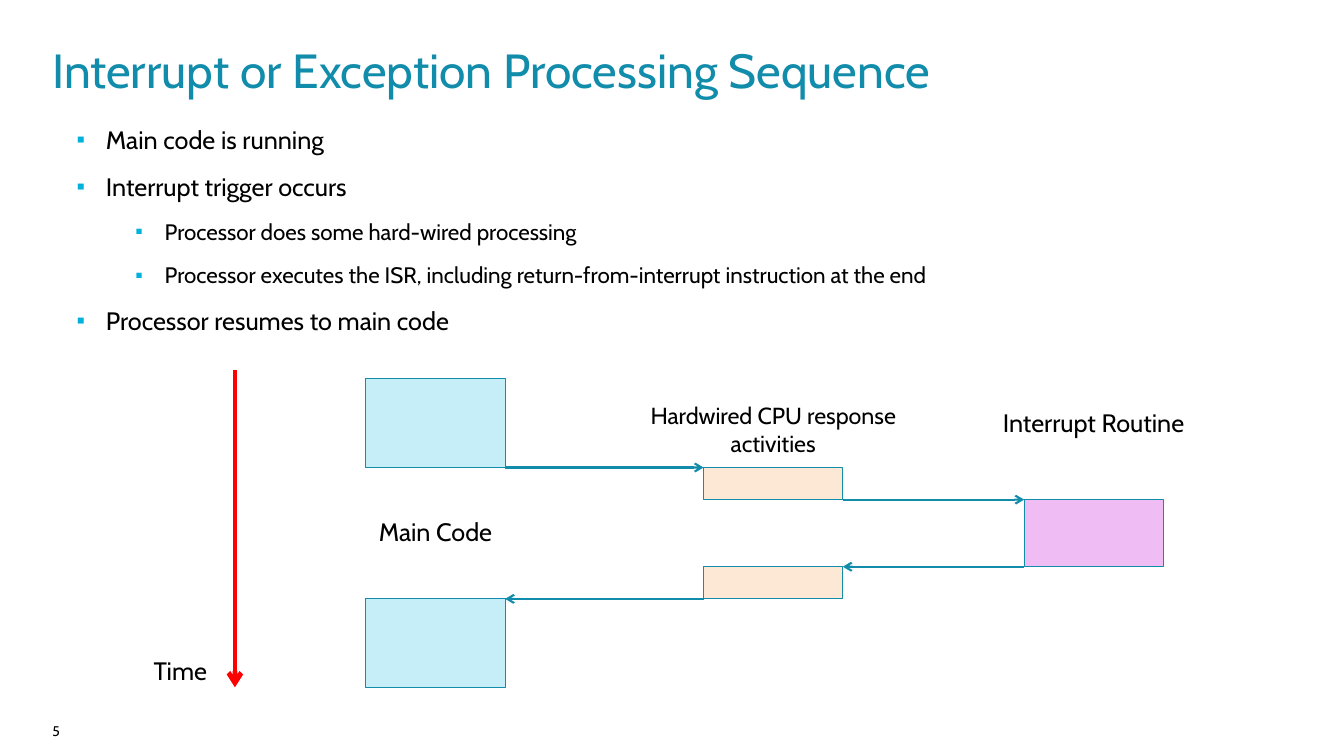
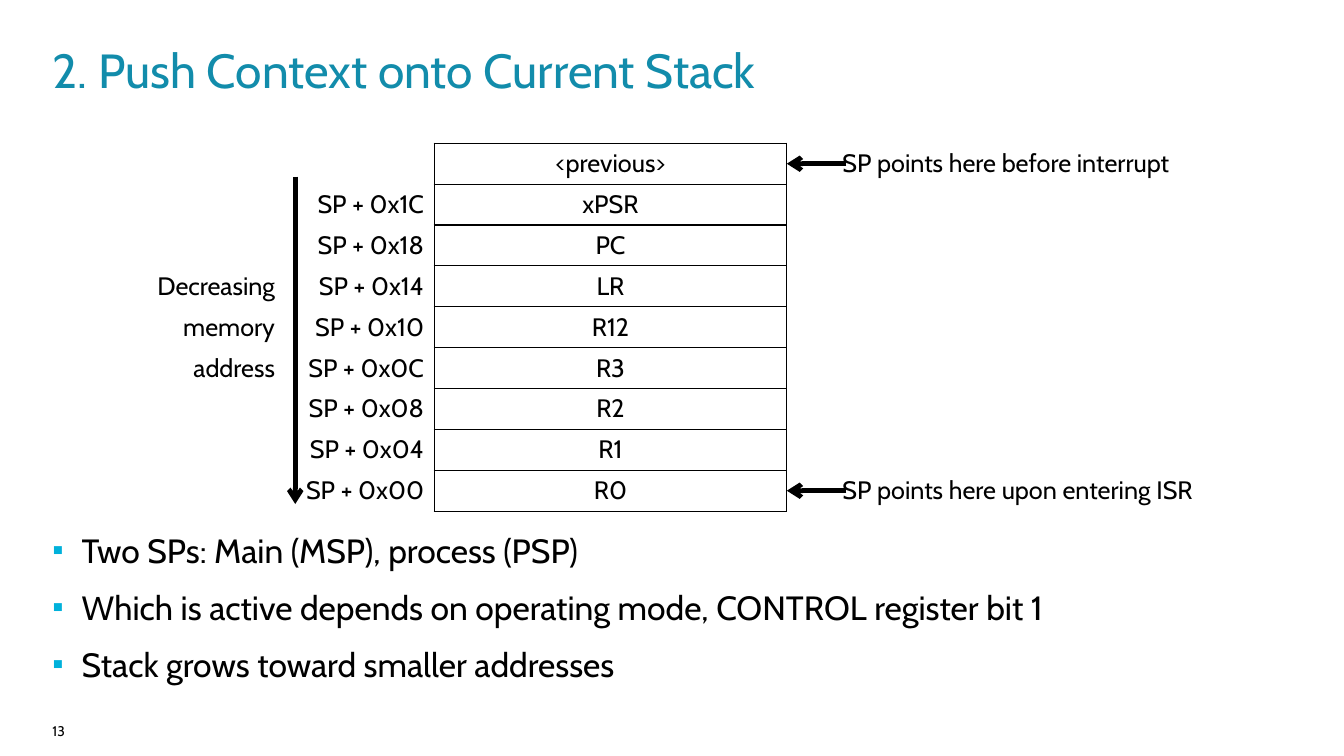
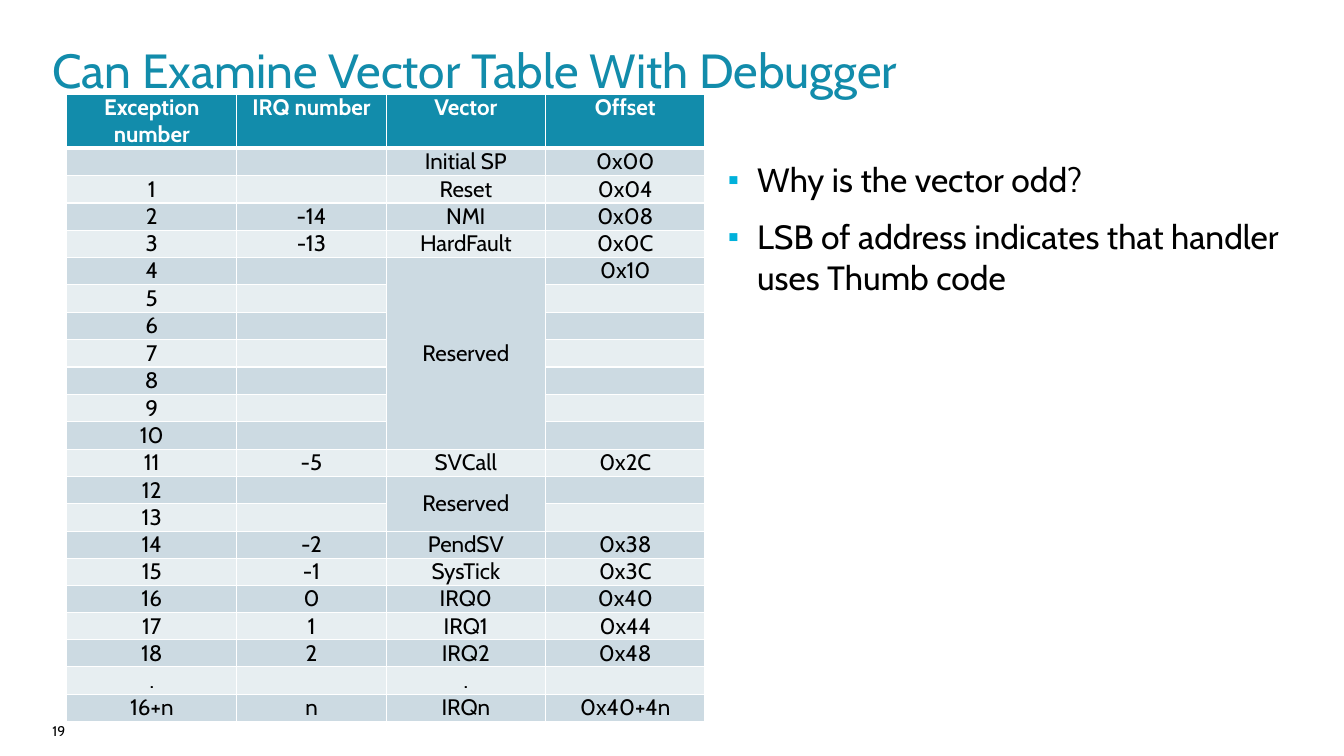
from lxml.etree import SubElement
from pptx import Presentation
from pptx.dml.color import RGBColor
from pptx.enum.shapes import MSO_CONNECTOR, MSO_SHAPE
from pptx.enum.text import MSO_ANCHOR, MSO_AUTO_SIZE, PP_ALIGN
from pptx.oxml.ns import qn
from pptx.util import Cm, Pt

FONT = "Cabin"
TEAL, CYAN, BLACK, WHITE, RED = "128CAB", "00B1DB", "000000", "FFFFFF", "FF0000"
SKY, PEACH, PINK = "C5EEF9", "FDE8D6", "EFBCF4"
BANDS = ("E7EEF1", "CCDAE2")
PLAIN = "{2D5ABB26-0587-4C30-8999-92F81FD0307C}"
LEFT, WIDE = 1.32, 30.99
INDENT = 0.74
FLAT = {"margin_left": 0, "margin_right": 0, "margin_top": 0, "margin_bottom": 0,
        "word_wrap": True, "auto_size": MSO_AUTO_SIZE.NONE}
TIGHT = {"margin_top": 0, "margin_bottom": 0}

REGS = ("<previous>", "xPSR", "PC", "LR", "R12", "R3", "R2", "R1", "R0")
SIDE = {3: "Decreasing", 4: "memory", 5: "address"}
NOTES = {0: "SP points here before interrupt",
         8: "SP points here upon entering ISR"}
VECTORS = """Exception number|IRQ number|Vector|Offset
||Initial SP|0x00
1||Reset|0x04
2|-14|NMI|0x08
3|-13|HardFault|0x0C
4||Reserved|0x10
5|||
6|||
7|||
8|||
9|||
10|||
11|-5|SVCall|0x2C
12||Reserved|
13|||
14|-2|PendSV|0x38
15|-1|SysTick|0x3C
16|0|IRQ0|0x40
17|1|IRQ1|0x44
18|2|IRQ2|0x48
.||.|
16+n|n|IRQn|0x40+4n"""
SPANS = ((5, 11), (13, 14))


def hue(code):
    """Turn a hex string into a colour."""
    return RGBColor.from_string(code)


def style(item, values):
    """Set each attribute named in a dict of format values."""
    for name, value in values.items():
        setattr(item, name, value)


def place(shape, left, top, width, height):
    """Move and size a shape, in centimetres."""
    style(shape, {"left": Cm(left), "top": Cm(top),
                  "width": Cm(width), "height": Cm(height)})


def write(para, text, size, color=BLACK, align=PP_ALIGN.LEFT, bold=False):
    """Put one formatted run of text in a paragraph."""
    para.alignment = align
    run = para.add_run()
    run.text = text
    style(run.font, {"name": FONT, "size": Pt(size), "bold": bold})
    run.font.color.rgb = hue(color)


def label(slide, text, box, size=18, align=PP_ALIGN.CENTER):
    """Add a text box without margins."""
    frame = slide.shapes.add_textbox(*map(Cm, box)).text_frame
    style(frame, FLAT)
    write(frame.paragraphs[0], text, size, align=align)


def arrow(slide, start, end, color, width):
    """Draw a straight line with an open head at its end."""
    line = slide.shapes.add_connector(MSO_CONNECTOR.STRAIGHT, *map(Cm, start + end))
    line.line.color.rgb = hue(color)
    line.line.width = Pt(width)
    props = line.line._get_or_add_ln()
    SubElement(props, qn("a:tailEnd"), type="arrow")
    SubElement(line._element.spPr, qn("a:effectLst"))


def bullet(para, level):
    """Give a paragraph its square marker and hanging indent."""
    props = para._p.get_or_add_pPr()
    props.set("marL", str(Cm(INDENT * (1 + 2 * level))))
    props.set("indent", str(-Cm(INDENT)))
    tint = SubElement(props, qn("a:buClr"))
    SubElement(tint, qn("a:srgbClr"), val=CYAN)
    SubElement(props, qn("a:buSzPct"), val="95000")
    SubElement(props, qn("a:buChar"), char="▪")


def points(slide, box, items):
    """Fill the body placeholder with (level, size, text) items."""
    body = slide.placeholders[1]
    place(body, *box)
    frame = body.text_frame
    style(frame, FLAT)
    for i, (level, size, text) in enumerate(items):
        para = frame.add_paragraph() if i else frame.paragraphs[0]
        style(para, {"level": level, "space_before": Pt(12 if i else 0)})
        bullet(para, level)
        write(para, text, size)


def page(deck, title, number):
    """Add a slide with the shared title and page number."""
    slide = deck.slides.add_slide(deck.slide_layouts[1])
    head = slide.shapes.title
    place(head, LEFT, 0.94, WIDE, 1.6)
    style(head.text_frame, FLAT)
    head.text_frame.vertical_anchor = MSO_ANCHOR.MIDDLE
    write(head.text_frame.paragraphs[0], title, 34.2, TEAL)
    label(slide, number, (LEFT, 18.21, 3.61, 0.66), 10, PP_ALIGN.LEFT)
    return slide


def grid(slide, left, top, widths, heights):
    """Add a table without a style, in centimetres."""
    box = (left, top, sum(widths), sum(heights))
    table = slide.shapes.add_table(len(heights), len(widths), *map(Cm, box)).table
    style(table, {"first_row": False, "horz_banding": False})
    table._tbl.tblPr.find(qn("a:tableStyleId")).text = PLAIN
    for col, width in zip(table.columns, widths):
        col.width = Cm(width)
    for row, height in zip(table.rows, heights):
        row.height = Cm(height)
    return table


def edge(cell, color, sides):
    """Draw cell borders from a dict of side and width."""
    props = cell._tc.get_or_add_tcPr()
    for side in "LRTB":
        if side in sides:
            line = SubElement(props, qn("a:ln" + side), w=str(Pt(sides[side])))
            fill = SubElement(line, qn("a:solidFill"))
            SubElement(fill, qn("a:srgbClr"), val=color)


def flow(slide, left, top):
    """Stack the code blocks in time order and join them with arrows."""
    lanes, width = (0, 8.51, 16.59), 3.51
    steps = ((0, 2.23, SKY), (1, 0.81, PEACH), (2, 1.69, PINK),
             (1, 0.81, PEACH), (0, 2.23, SKY))
    y, last = top, None
    for lane, height, color in steps:
        x = left + lanes[lane]
        block = slide.shapes.add_shape(
            MSO_SHAPE.RECTANGLE, *map(Cm, (x, y, width, height)))
        block.shadow.inherit = False
        block.fill.solid()
        block.fill.fore_color.rgb = hue(color)
        block.line.color.rgb = hue(TEAL)
        block.line.width = Pt(0.75)
        if last is not None:
            ends = (last + width, x) if x > last else (last, x + width)
            arrow(slide, (ends[0], y), (ends[1], y), TEAL, 1.5)
        y, last = y + height, x
    arrow(slide, (left - 3.3, top - 0.23), (left - 3.3, y), RED, 3.35)
    for text, x, drop, wide, high, size in (
            ("Main Code", 0.28, 3.45, 2.95, 0.84, 18),
            ("Hardwired CPU response activities", 6.58, 0.56, 7.37, 1.27, 16.6),
            ("Interrupt Routine", 15.9, 0.71, 4.88, 0.84, 18),
            ("Time", -5.46, 6.96, 1.57, 0.81, 18)):
        label(slide, text, (left + x, top + drop, wide, high), size)


def stack(slide, left, top):
    """Draw the stack frame with its addresses and pointers."""
    widths, high = (5.08, 3.5, 8.89, 11.91), 1.03
    table = grid(slide, left, top, widths, [high] * len(REGS))
    right = left + sum(widths[:3])
    for r, name in enumerate(REGS):
        spot = f"SP + 0x{4 * (8 - r):02X}" if r else ""
        texts = (SIDE.get(r, ""), spot, name, NOTES.get(r, ""))
        aligns = (PP_ALIGN.RIGHT, PP_ALIGN.RIGHT, PP_ALIGN.CENTER, PP_ALIGN.LEFT)
        sides = ("", "R", "LRTB", "L")
        for c, (text, align) in enumerate(zip(texts, aligns)):
            cell = table.cell(r, c)
            edge(cell, BLACK, dict.fromkeys(sides[c], 1))
            cell.fill.background()
            if text:
                write(cell.text_frame.paragraphs[0], text, 18, align=align)
        table.cell(r, 0).margin_right = Cm(0.51)
        table.cell(r, 3).margin_left = Cm(1.4)
    for r in NOTES:
        y = top + (r + 0.5) * high
        arrow(slide, (right + 1.5, y), (right, y), BLACK, 3.35)
    x = left + widths[0]
    arrow(slide, (x, top + 0.84), (x, top + 9.09), BLACK, 3.35)


def vectors(slide, left, top):
    """Draw the banded vector table with its merged cells."""
    rows = [line.split("|") for line in VECTORS.splitlines()]
    high = 0.68
    heights = [2 * high] + [high] * (len(rows) - 1)
    table = grid(slide, left, top, (4.29, 3.76, 4.02, 4.02), heights)
    for r, row in enumerate(rows):
        for c, text in enumerate(row):
            cell = table.cell(r, c)
            edge(cell, WHITE, {"L": 1, "R": 1, "T": 3 if r == 1 else 1,
                               "B": 1 if r else 3})
            cell.fill.solid()
            cell.fill.fore_color.rgb = hue(BANDS[r % 2] if r else TEAL)
            style(cell, TIGHT)
            cell.vertical_anchor = MSO_ANCHOR.MIDDLE if r else MSO_ANCHOR.TOP
            para = cell.text_frame.paragraphs[0]
            if text:
                write(para, text, 16, BLACK if r else WHITE, PP_ALIGN.CENTER, not r)
            else:
                SubElement(para._p, qn("a:endParaRPr"), sz="1600")
    for first, last in SPANS:
        table.cell(first, 2).merge(table.cell(last, 2))


def main():
    """Build the three slides and save them."""
    deck = Presentation()
    style(deck, {"slide_width": Cm(33.87), "slide_height": Cm(19.05)})

    slide = page(deck, "Interrupt or Exception Processing Sequence", "5")
    points(slide, (1.93, 3.12, 30, 5.74), (
        (0, 18, "Main code is running"),
        (0, 18, "Interrupt trigger occurs"),
        (1, 16, "Processor does some hard-wired processing"),
        (1, 16, "Processor executes the ISR, including "
                "return-from-interrupt instruction at the end"),
        (0, 18, "Processor resumes to main code")))
    flow(slide, 9.22, 9.55)

    slide = page(deck, "2. Push Context onto Current Stack", "13")
    points(slide, (LEFT, 13.34, WIDE, 3.66), (
        (0, 24, "Two SPs: Main (MSP), process (PSP)"),
        (0, 24, "Which is active depends on operating mode, CONTROL register bit 1"),
        (0, 24, "Stack grows toward smaller addresses")))
    stack(slide, 2.36, 3.61)

    slide = page(deck, "Can Examine Vector Table With Debugger", "19")
    points(slide, (18.34, 4.01, 14, 13.54), (
        (0, 24, "Why is the vector odd?"),
        (0, 24, "LSB of address indicates that handler uses Thumb code")))
    vectors(slide, 1.68, 2.37)

    deck.save("out.pptx")


if __name__ == "__main__":
    main()
